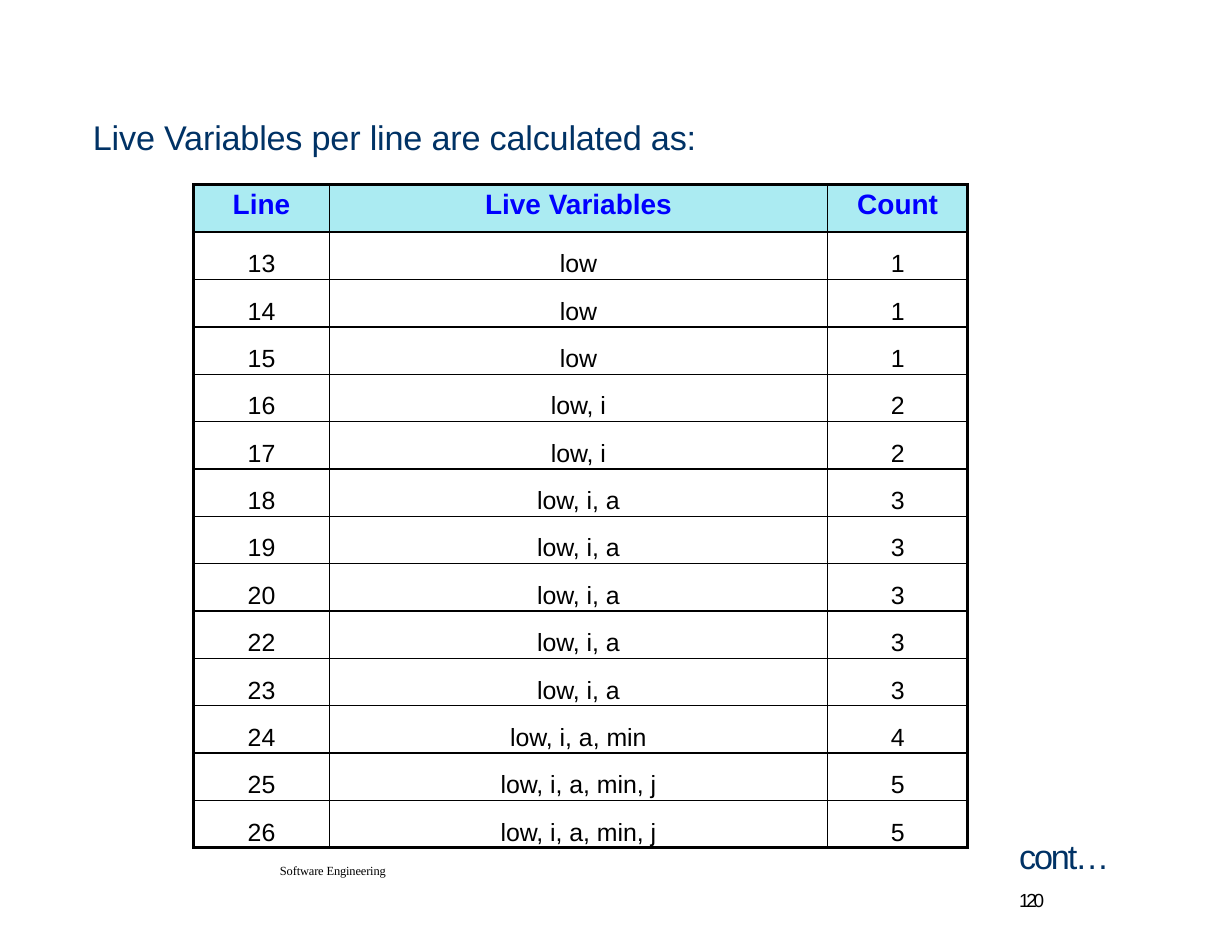
import pptx
import pptx.util
import pptx.dml.color
import pptx.enum.text
import pptx.oxml.ns
from lxml import etree

Inches, Pt = pptx.util.Inches, pptx.util.Pt
Align = pptx.enum.text.PP_ALIGN
Anchor = pptx.enum.text.MSO_ANCHOR

# Content
TITLE = "Live Variables per line are calculated as:"
FOOTER = "Software Engineering"
MORE, PAGE = "cont…", "120"
HEAD = ("Line", "Live Variables", "Count")
LIVE = [
    (13, "low"), (14, "low"), (15, "low"),
    (16, "low, i"), (17, "low, i"),
    (18, "low, i, a"), (19, "low, i, a"), (20, "low, i, a"),
    (22, "low, i, a"), (23, "low, i, a"),
    (24, "low, i, a, min"),
    (25, "low, i, a, min, j"), (26, "low, i, a, min, j"),
]
ROWS = [HEAD] + [(str(n), names, str(len(names.split(", ")))) for n, names in LIVE]

THEME = {
    "sans": "Arial", "serif": "Times New Roman",
    "navy": "003265", "blue": "0000FF", "black": "000000", "aqua": "ABEBF2",
    "title": 22, "page": 21, "head": 18, "body": 16, "foot": 8,
    "thick": 2.25, "thin": 1,
}

# Layout
LEFT, TOP, HIGH = 1.73, 1.65, 5.92
COLS = (1.21, 4.45, 1.25)


def style(font, size, color, face="sans", bold=False):
    font.name = THEME[face]
    font.size = Pt(THEME[size])
    font.color.rgb = pptx.dml.color.RGBColor.from_string(THEME[color])
    font.bold = bold


def track(run, points):
    run.font._element.set("spc", str(round(points * 100)))


def setup(frame, top=0):
    frame.margin_left = frame.margin_right = frame.margin_bottom = 0
    frame.margin_top = Inches(top)
    frame.vertical_anchor = Anchor.TOP
    frame.word_wrap = True
    return frame.paragraphs[0]


def add_box(slide, left, top, width, height, lead):
    box = slide.shapes.add_textbox(*map(Inches, (left, top, width, height)))
    para = setup(box.text_frame)
    para.line_spacing = Pt(lead)
    para._p.get_or_add_pPr().set("marL", str(Inches(0.01)))
    return para


def add_run(para, text, space):
    run = para.add_run()
    run.text = text
    track(run, space)
    return run


def add_edges(cell, outer):
    """Draw the four cell borders, thick on the sides named in outer."""
    props = cell._tc.get_or_add_tcPr()
    qn = pptx.oxml.ns.qn
    for spot, side in enumerate("LRTB"):
        width = Pt(THEME["thick" if side in outer else "thin"])
        line = etree.Element(qn("a:ln" + side), w=str(int(width)))
        fill = etree.SubElement(line, qn("a:solidFill"))
        etree.SubElement(fill, qn("a:srgbClr"), val=THEME["black"])
        props.insert(spot, line)


def fill_cell(cell, text, first):
    cell.margin_left = cell.margin_right = cell.margin_bottom = 0
    cell.margin_top = Inches(0.04 if first else 0.16)
    cell.vertical_anchor = Anchor.TOP
    para = cell.text_frame.paragraphs[0]
    para.text = text
    para.alignment = Align.CENTER
    if first:
        style(para.font, "head", "blue", bold=True)
        cell.fill.solid()
        cell.fill.fore_color.rgb = pptx.dml.color.RGBColor.from_string(THEME["aqua"])
    else:
        para.line_spacing = Pt(18)
        style(para.font, "body", "black")
        cell.fill.background()


def add_grid(slide):
    shape = slide.shapes.add_table(
        len(ROWS), len(COLS), *map(Inches, (LEFT, TOP, sum(COLS), HIGH)))
    table = shape.table
    table.horz_banding = table.first_row = False
    for col, width in zip(table.columns, COLS):
        col.width = Inches(width)
    last, end = len(ROWS) - 1, len(COLS) - 1
    for i, row in enumerate(ROWS):
        table.rows[i].height = Inches(HIGH / len(ROWS))
        for j, text in enumerate(row):
            cell = table.cell(i, j)
            fill_cell(cell, text, i == 0)
            sides = {"L": j == 0, "R": j == end, "T": i == 0, "B": i == last}
            add_edges(cell, [side for side, on in sides.items() if on])


def main():
    deck = pptx.Presentation()
    deck.slide_width, deck.slide_height = Inches(11), Inches(8.5)
    slide = deck.slides.add_slide(deck.slide_layouts[5])

    # Title
    title = slide.shapes.title
    title.left, title.top, title.width, title.height = map(
        Inches, (0.82, 1.03, 5.52, 0.39))
    para = setup(title.text_frame, 0.01)
    title.text_frame.auto_size = pptx.enum.text.MSO_AUTO_SIZE.NONE
    para.alignment = Align.LEFT
    para._p.get_or_add_pPr().set("marL", str(Inches(0.01)))
    add_run(para, TITLE, -0.1)
    style(para.font, "title", "navy")

    # Table of live variables
    add_grid(slide)

    # Continuation mark and page number, which wraps below it
    para = add_box(slide, 9.09, 7.51, 1.01, 0.41, 22.4)
    style(add_run(para, MORE, -1.4).font, "title", "navy")
    page = add_run(para, PAGE, -2.1)
    style(page.font, "page", "black")
    page.font._element.set("baseline", "-28000")

    # Footer
    para = add_box(slide, 2.49, 7.72, 5.44, 0.13, 8.7)
    add_run(para, FOOTER, -0.1)
    style(para.font, "foot", "black", "serif")

    deck.save("out.pptx")


if __name__ == "__main__":
    main()
